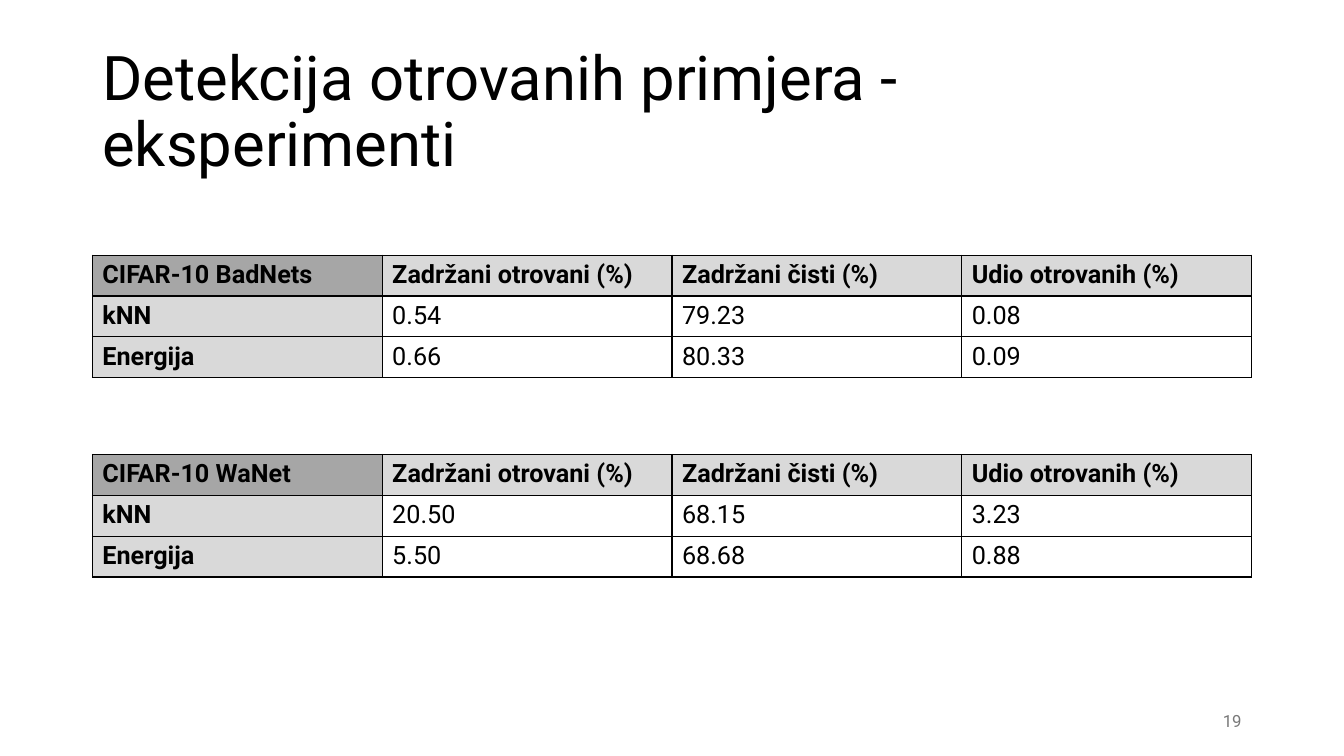
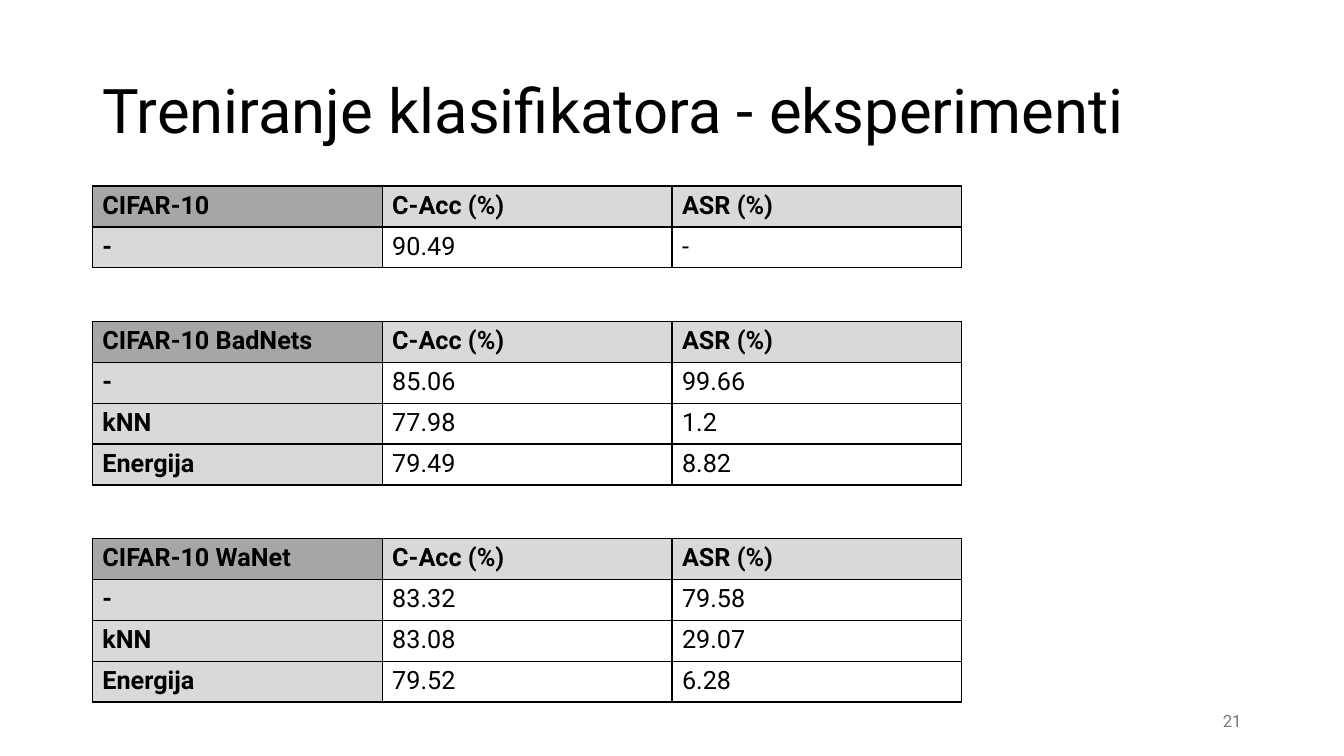
import lxml.etree
import pptx
import pptx.dml.color
import pptx.enum.text
import pptx.oxml.ns
import pptx.util

Pt = pptx.util.Pt
RGBColor = pptx.dml.color.RGBColor
PP_ALIGN = pptx.enum.text.PP_ALIGN
qn = pptx.oxml.ns.qn

BLACK = RGBColor(0x00, 0x00, 0x00)
CORNER_GRAY = RGBColor(0xA6, 0xA6, 0xA6)
HEADER_GRAY = RGBColor(0xD9, 0xD9, 0xD9)
NUMBER_GRAY = RGBColor(0x79, 0x79, 0x79)

DETECTION_HEADERS = ["Zadržani otrovani (%)", "Zadržani čisti (%)", "Udio otrovanih (%)"]
TRAINING_HEADERS = ["C-Acc (%)", "ASR (%)"]

DETECTION_TABLES = [
    [["CIFAR-10 BadNets", *DETECTION_HEADERS],
     ["kNN", "0.54", "79.23", "0.08"],
     ["Energija", "0.66", "80.33", "0.09"]],
    [["CIFAR-10 WaNet", *DETECTION_HEADERS],
     ["kNN", "20.50", "68.15", "3.23"],
     ["Energija", "5.50", "68.68", "0.88"]],
]

TRAINING_TABLES = [
    [["CIFAR-10", *TRAINING_HEADERS],
     ["-", "90.49", "-"]],
    [["CIFAR-10 BadNets", *TRAINING_HEADERS],
     ["-", "85.06", "99.66"],
     ["kNN", "77.98", "1.2"],
     ["Energija", "79.49", "8.82"]],
    [["CIFAR-10 WaNet", *TRAINING_HEADERS],
     ["-", "83.32", "79.58"],
     ["kNN", "83.08", "29.07"],
     ["Energija", "79.52", "6.28"]],
]


class Deck:
    """Holds the shared style and the slide being built."""

    FONT = "Roboto"
    LEFT = 66
    WIDTH = 828
    COL_WIDTH = 207
    ROW_HEIGHT = 29.2

    def __init__(self):
        self.prs = pptx.Presentation()
        self.prs.slide_width = Pt(960)
        self.prs.slide_height = Pt(540)
        self.s = None

    def slide(self, title, number):
        self.s = self.prs.slides.add_slide(self.prs.slide_layouts[6])
        p = self.text(title, self.LEFT, 28.75, self.WIDTH, 104.4, 44, BLACK)
        p.line_spacing = 0.9
        p = self.text(str(number), 678, 500.5, 216, 28.75, 12, NUMBER_GRAY)
        p.alignment = PP_ALIGN.RIGHT

    def style(self, p, size, color, bold=False):
        p.font.name = self.FONT
        p.font.size = Pt(size)
        p.font.color.rgb = color
        p.font.bold = bold

    def text(self, text, left, top, width, height, size, color):
        sp = self.s.shapes.add_textbox(Pt(left), Pt(top), Pt(width), Pt(height))
        tf = sp.text_frame
        tf.word_wrap = True
        tf.vertical_anchor = pptx.enum.text.MSO_ANCHOR.MIDDLE
        p = tf.paragraphs[0]
        p.text = text
        self.style(p, size, color)
        return p

    def borders(self, cell):
        tc_pr = cell._tc.get_or_add_tcPr()
        for side in ("L", "R", "T", "B"):
            ln = lxml.etree.SubElement(tc_pr, qn(f"a:ln{side}"), w=str(Pt(1)))
            fill = lxml.etree.SubElement(ln, qn("a:solidFill"))
            lxml.etree.SubElement(fill, qn("a:srgbClr"), val=str(BLACK))

    def cell(self, cell, text, row, col):
        is_header = row == 0 or col == 0
        self.borders(cell)
        if is_header:
            cell.fill.solid()
            cell.fill.fore_color.rgb = CORNER_GRAY if row == col else HEADER_GRAY
        else:
            cell.fill.background()
        p = cell.text_frame.paragraphs[0]
        p.text = text
        self.style(p, 18, BLACK, is_header)

    def table(self, rows, top):
        n_rows, n_cols = len(rows), len(rows[0])
        height = n_rows * self.ROW_HEIGHT
        table = self.s.shapes.add_table(
            n_rows, n_cols, Pt(self.LEFT), Pt(top),
            Pt(n_cols * self.COL_WIDTH), Pt(height)).table
        table.horz_banding = False
        for row in table.rows:
            row.height = Pt(self.ROW_HEIGHT)
        for i, values in enumerate(rows):
            for j, value in enumerate(values):
                self.cell(table.cell(i, j), value, i, j)
        return top + height

    def table_stack(self, tables, top, gap):
        for rows in tables:
            top = self.table(rows, top) + gap


def main():
    deck = Deck()
    deck.slide("Detekcija otrovanih primjera - eksperimenti", 19)
    deck.table_stack(DETECTION_TABLES, 182.2, 54.8)
    deck.slide("Treniranje klasifikatora - eksperimenti", 21)
    deck.table_stack(TRAINING_TABLES, 132.9, 38.3)
    deck.prs.save("out.pptx")


if __name__ == "__main__":
    main()
